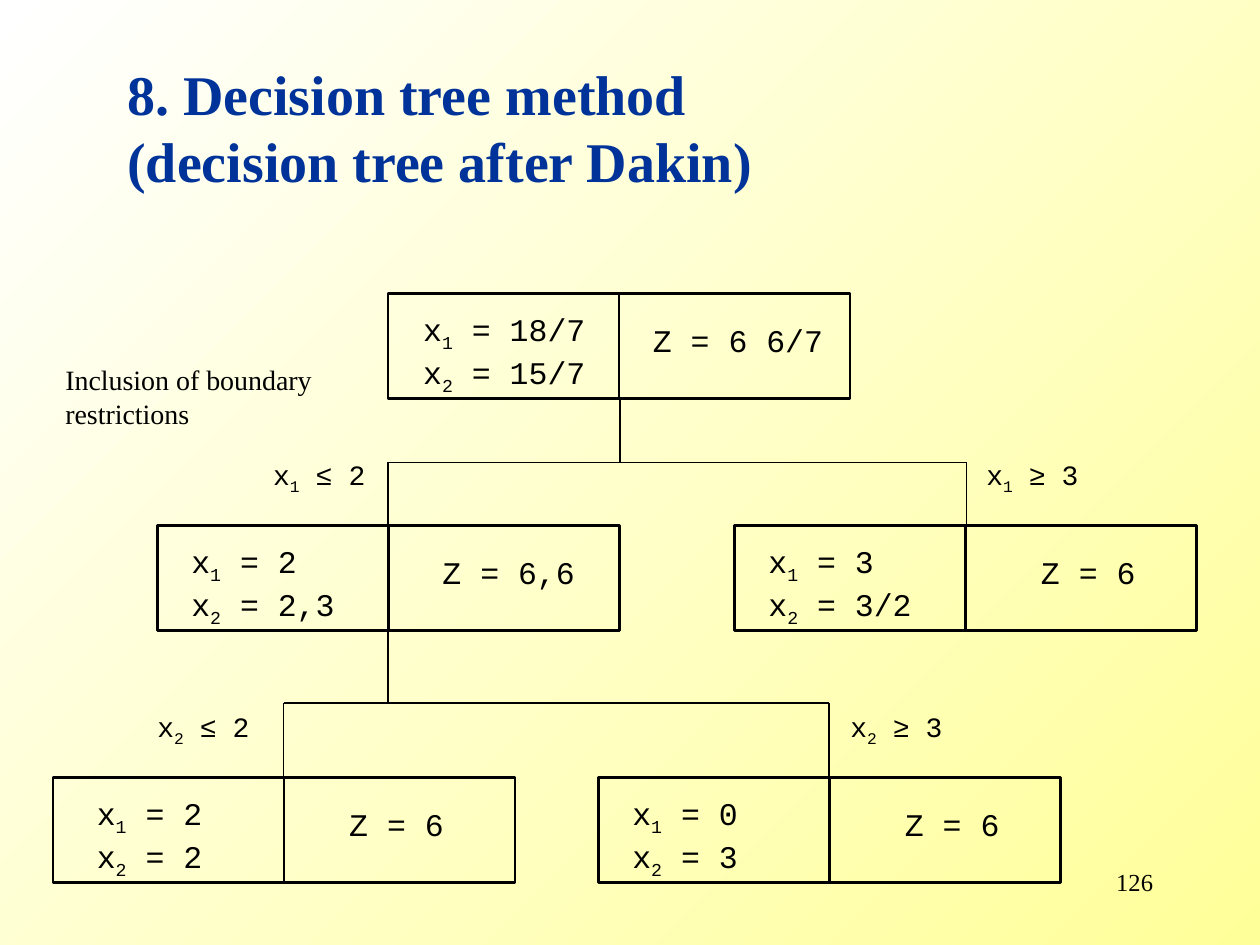
"""Build the decision tree slide (branch and bound after Dakin)."""
from lxml import etree
from pptx import Presentation
from pptx.dml.color import RGBColor
from pptx.enum import shapes, text
from pptx.oxml import ns
from pptx.util import Inches, Pt

BLACK = RGBColor(0x00, 0x00, 0x00)
BLUE = RGBColor(0x00, 0x33, 0x99)
YELLOW = RGBColor(0xFF, 0xFF, 0x99)
WHITE = RGBColor(0xFF, 0xFF, 0xFF)
SERIF, MONO, SIGN = "Times New Roman", "Courier New", "Arial"
BOX_W, BOX_H, CHAR_W = 11 / 6, 5 / 6, 0.15


def add_text(s, x, y, w, h, lines, size, font=MONO, wrap=False):
    tf = s.shapes.add_textbox(Inches(x), Inches(y), Inches(w), Inches(h)).text_frame
    tf.word_wrap = wrap
    tf.auto_size = text.MSO_AUTO_SIZE.SHAPE_TO_FIT_TEXT
    for i, parts in enumerate(lines):
        p = tf.paragraphs[0] if i == 0 else tf.add_paragraph()
        p.font.size, p.font.color.rgb = Pt(size), BLACK
        for k, part in enumerate(parts):
            r = p.add_run()
            r.text = part
            r.font.size, r.font.color.rgb = Pt(size), BLACK
            r.font.name = SIGN if part in ("≤", "≥") else font
            if k == 1:
                r.font._element.set("baseline", "-25000")
    return tf


def add_line(s, x1, y1, x2, y2):
    c = s.shapes.add_connector(shapes.MSO_CONNECTOR.STRAIGHT,
                               Inches(x1), Inches(y1), Inches(x2), Inches(y2))
    c.line.color.rgb, c.line.width = BLACK, Pt(0.75)
    etree.SubElement(c._element.spPr, ns.qn("a:effectLst"))


prs = Presentation()
prs.slide_width, prs.slide_height = Inches(10), Inches(7.5)
s = prs.slides.add_slide(prs.slide_layouts[5])

fill = s.background.fill
fill.gradient()
fill.gradient_angle = 135
for stop, color, position in zip(fill.gradient_stops, (YELLOW, WHITE), (0, 1)):
    stop.color.rgb, stop.position = color, position

title = s.shapes.title
title.left, title.top = Inches(0.91), Inches(0.42)
title.width, title.height = Inches(5.18), Inches(1.7)
tf = title.text_frame
tf.text = "8. Decision tree method\n(decision tree after Dakin)"
tf.word_wrap = False
tf.auto_size = text.MSO_AUTO_SIZE.NONE
tf.vertical_anchor = text.MSO_ANCHOR.TOP
for p in tf.paragraphs:
    p.alignment = text.PP_ALIGN.LEFT
    p.font.name, p.font.size, p.font.bold = SERIF, Pt(32), True
    p.font.color.rgb = BLUE

nodes = [
    (3.08, 2.33, "18/7", "15/7", "6 6/7", 0.18, 0.17),
    (1.25, 4.17, "2", "2,3", "6,6", 0.17, 0.33),
    (5.83, 4.17, "3", "3/2", "6", 0.17, 0.5),
    (0.42, 6.17, "2", "2", "6", 0.25, 0.42),
    (4.75, 6.17, "0", "3", "6", 0.17, 0.5),
]
for left, top, x1, x2, z, x_gap, z_gap in nodes:
    seam = left + BOX_W
    for x in (left, seam):
        sp = s.shapes.add_shape(shapes.MSO_SHAPE.RECTANGLE, Inches(x), Inches(top),
                                Inches(BOX_W), Inches(BOX_H))
        sp.shadow.inherit = False
        sp.fill.background()
        sp.line.color.rgb, sp.line.width = BLACK, Pt(1.5)
    x_width = 0.29 + CHAR_W * (4 + max(len(x1), len(x2)))
    add_text(s, left + x_gap, top + 0.08, x_width, 0.78,
             [("x", "1", f" = {x1}"), ("x", "2", f" = {x2}")], 18)
    add_text(s, seam + z_gap, top + 0.17, 0.2 + CHAR_W * (4 + len(z)), 0.4,
             [(f"Z = {z}",)], 18)

branches = [
    (4.92, 3.17, 3.67, 4.17, 3.08, 7.67, "1", 2.07, 7.73, 3.58),
    (3.08, 5, 5.58, 6.17, 2.25, 6.58, "2", 1.15, 6.65, 5.58),
]
for stem, start, rail, end, low, high, sub, low_x, high_x, label_y in branches:
    add_line(s, low, rail, high, rail)
    add_line(s, stem, start, stem, rail)
    for x, label_x, sign, bound in ((low, low_x, "≤", " 2"), (high, high_x, "≥", " 3")):
        add_line(s, x, end, x, rail)
        add_text(s, label_x, label_y, 0.98, 0.41, [("x", sub, " ", sign, bound)], 16)

add_text(s, 0.42, 2.83, 2.5, 0.64, [("Inclusion of boundary restrictions",)], 16, SERIF, True)
tf = add_text(s, 7.17, 6.83, 2.08, 0.5, [("126",)], 14, SERIF, True)
tf.auto_size = text.MSO_AUTO_SIZE.NONE
tf.paragraphs[0].alignment = text.PP_ALIGN.RIGHT

prs.save("out.pptx")
